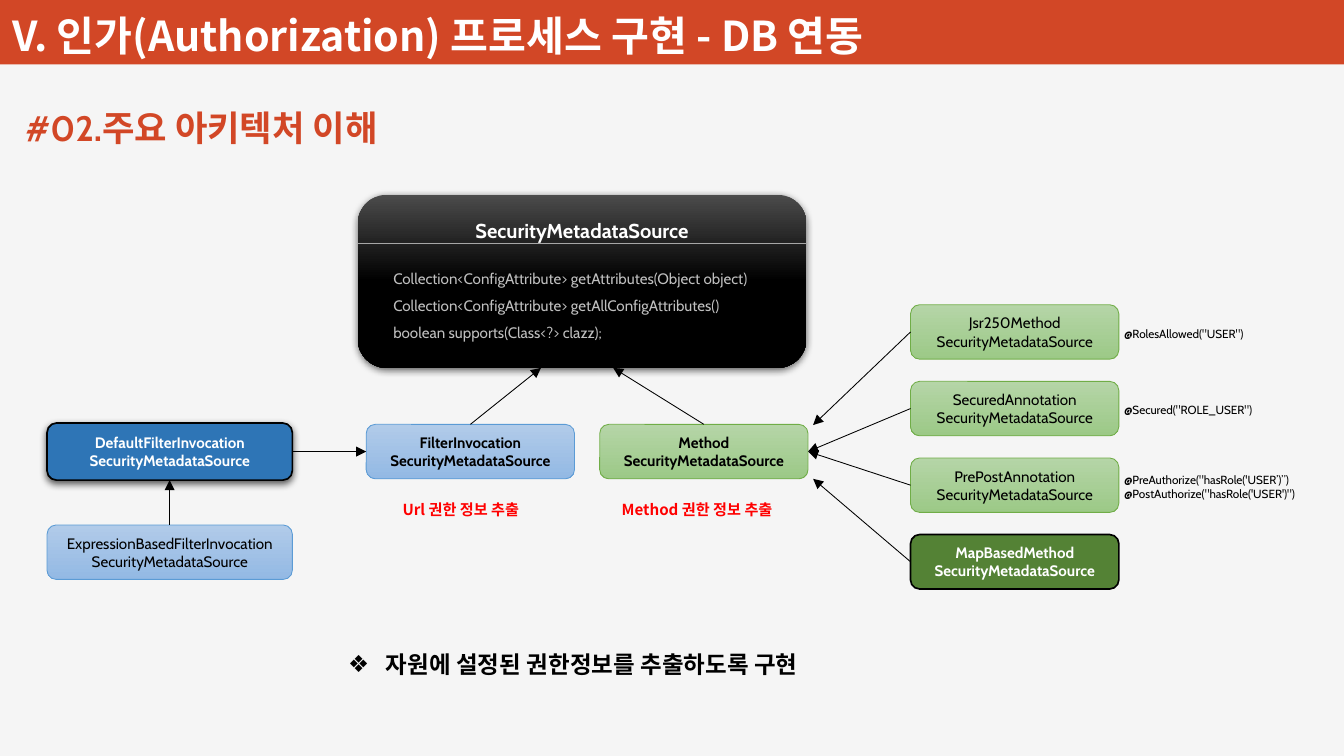
"""Builds the slide on the SecurityMetadataSource architecture."""
from dataclasses import dataclass
from lxml.etree import SubElement
from pptx import Presentation
from pptx.dml.color import RGBColor
from pptx.enum.shapes import MSO_CONNECTOR, MSO_SHAPE
from pptx.enum.text import MSO_ANCHOR, MSO_AUTO_SIZE, PP_ALIGN
from pptx.oxml.ns import qn
from pptx.util import Pt


@dataclass(frozen=True)
class Theme:
    latin: str = "Cabin"
    korean: str = "Noto Sans CJK KR"
    back: str = "F5F5F5"
    accent: str = "D24726"
    white: str = "FFFFFF"
    black: str = "000000"
    code: str = "BFBFBF"
    rule: str = "A6A6A6"
    alert: str = "FF0000"
    title_size: float = 24.5
    heading_size: float = 21
    list_size: float = 14
    root_size: float = 12
    box_size: float = 9
    note_size: float = 7


T = Theme()
TOP, LEFT, BOTTOM, RIGHT = range(4)
BOX_H = 32.4

STYLES = {
    "root": dict(fills=("4B4B4B", "000000"), mid=0.5, shadow=True),
    "blue": dict(fills=("B1CBE9", "93B9E4"), line="5B9BD5"),
    "green": dict(fills=("B5D5A7", "9CC987"), line="70AD47"),
    "navy": dict(fills=("2E75B6",), line=T.black, width=1, shadow=True),
    "forest": dict(fills=("548235",), line=T.black, width=1),
}

TITLE = "V. 인가(Authorization) 프로세스 구현 - DB 연동"
HEADING = "#02.주요 아키텍처 이해"
SUMMARY = "자원에 설정된 권한정보를 추출하도록 구현"
SOURCE = "SecurityMetadataSource"
ROOT = (213, 116, 267, 103)
METHODS = [
    "Collection<ConfigAttribute> getAttributes(Object object)",
    "Collection<ConfigAttribute> getAllConfigAttributes()",
    "boolean supports(Class<?> clazz);",
]
BOXES = [
    ("FilterInvocation", (218, 252.6, 124, BOX_H), "blue", T.black, True),
    ("Method", (357, 252.6, 124, BOX_H), "green", T.black, True),
    ("DefaultFilterInvocation", (28, 251.8, 146, 34), "navy", T.white, True),
    ("ExpressionBasedFilterInvocation", (28, 312.5, 146, BOX_H), "blue", T.black, False),
]
METHOD_X, METHOD_Y, METHOD_W, METHOD_STEP = 542, 181.4, 124, 45.6
METHOD_BOXES = [
    ("Jsr250Method", "green", T.black, False, ['@RolesAllowed("USER")']),
    ("SecuredAnnotation", "green", T.black, False, ['@Secured("ROLE_USER")']),
    ("PrePostAnnotation", "green", T.black, False,
     ["@PreAuthorize(\"hasRole('USER’)”)", "@PostAuthorize(\"hasRole('USER')\")"]),
    ("MapBasedMethod", "forest", T.white, True, []),
]
LABELS = [
    ("Url 권한 정보 추출", (232.5, 294.5, 95, 18)),
    ("Method 권한 정보 추출", (363, 294.5, 113, 18)),
]
ARROWS = [
    ("DefaultFilterInvocation", RIGHT, ("FilterInvocation", LEFT)),
    ("ExpressionBasedFilterInvocation", TOP, ("DefaultFilterInvocation", BOTTOM)),
    ("FilterInvocation", TOP, (322, 219)),
    ("Method", TOP, (365, 219)),
    ("Jsr250Method", LEFT, (484, 253)),
    ("SecuredAnnotation", LEFT, ("Method", RIGHT)),
    ("PrePostAnnotation", LEFT, ("Method", RIGHT)),
    ("MapBasedMethod", LEFT, (484, 285)),
]


def rgb(value):
    return RGBColor.from_string(value)


def pts(values):
    return [Pt(v) for v in values]


def write(sp, lines, size=T.box_size, color=T.black, bold=False, font=T.latin,
          align=PP_ALIGN.LEFT, spacing=1.0, anchor=MSO_ANCHOR.MIDDLE, inset=(7.2, 3.6)):
    tf = sp.text_frame
    tf.word_wrap = True
    tf.auto_size = MSO_AUTO_SIZE.NONE
    tf.vertical_anchor = anchor
    tf.margin_left = tf.margin_right = Pt(inset[0])
    tf.margin_top = tf.margin_bottom = Pt(inset[1])
    for i, line in enumerate(lines):
        p = tf.add_paragraph() if i else tf.paragraphs[0]
        p.alignment, p.line_spacing, p.space_before = align, spacing, Pt(0)
        r = p.add_run()
        r.text = line
        r.font.size, r.font.bold, r.font.name = Pt(size), bold, font
        r.font.color.rgb = rgb(color)
        SubElement(r.font._element, qn("a:ea"), typeface=T.korean)


def add_text(s, at, lines, **fmt):
    write(s.shapes.add_textbox(*pts(at)), lines, **fmt)


def add_shadow(sp):
    effects = sp._element.spPr.find(qn("a:effectLst"))
    shadow = SubElement(effects, qn("a:outerShdw"), blurRad=str(Pt(4.5)),
                        dist=str(Pt(1.5)), dir="5400000", algn="ctr", rotWithShape="0")
    color = SubElement(shadow, qn("a:srgbClr"), val=T.black)
    SubElement(color, qn("a:alpha"), val="63000")


def add_box(s, at, fills, line=None, width=0.5, mid=1.0, shadow=False):
    sp = s.shapes.add_shape(MSO_SHAPE.ROUNDED_RECTANGLE, *pts(at))
    sp.shadow.inherit = False
    if len(fills) == 1:
        sp.fill.solid()
        sp.fill.fore_color.rgb = rgb(fills[0])
    else:
        sp.fill.gradient()
        sp.fill.gradient_angle = 270
        for stop, color, position in zip(sp.fill.gradient_stops, fills, (0.0, mid)):
            stop.color.rgb, stop.position = rgb(color), position
    if line:
        sp.line.color.rgb, sp.line.width = rgb(line), Pt(width)
    else:
        sp.line.fill.background()
    if shadow:
        add_shadow(sp)
    return sp


def add_line(s, start, end, color=T.black, arrow=False):
    c = s.shapes.add_connector(MSO_CONNECTOR.STRAIGHT, *pts(start + end))
    c.line.color.rgb, c.line.width = rgb(color), Pt(0.5)
    if arrow:
        SubElement(c.line._get_or_add_ln(), qn("a:tailEnd"), type="triangle")
    SubElement(c._element.spPr, qn("a:effectLst"))
    return c


def place(sp, at):
    sp.left, sp.top, sp.width, sp.height = pts(at)


def add_title_and_list(s):
    title, body = s.placeholders
    place(title, (0, 0, 800, 38.4))
    title.fill.solid()
    title.fill.fore_color.rgb = rgb(T.accent)
    write(title, [TITLE], size=T.title_size, color=T.white, bold=True, font=T.korean,
          anchor=MSO_ANCHOR.BOTTOM, inset=(7.2, 0))
    title.text_frame.margin_bottom = Pt(2.8)
    place(body, (200, 383, 312, 24.5))
    write(body, [SUMMARY], size=T.list_size, bold=True, font=T.korean)
    pPr = body.text_frame.paragraphs[0]._p.get_or_add_pPr()
    pPr.set("marL", str(Pt(22.5)))
    pPr.set("indent", str(Pt(-22.5)))
    SubElement(pPr, qn("a:buChar"), char="❖")


def add_root(s):
    x, y, w, _ = ROOT
    write(add_box(s, ROOT, **STYLES["root"]), [SOURCE], size=T.root_size, color=T.white,
          bold=True, align=PP_ALIGN.CENTER, anchor=MSO_ANCHOR.TOP, inset=(7.2, 9))
    add_line(s, (x, y + 28.8), (x + w, y + 28.8), color=T.rule)
    add_text(s, (227, 152, 240, 54), METHODS, color=T.code, spacing=1.5)


def add_diagram(s):
    boxes, found = list(BOXES), {}
    for i, (name, style, color, bold, notes) in enumerate(METHOD_BOXES):
        y = METHOD_Y + i * METHOD_STEP
        boxes.append((name, (METHOD_X, y, METHOD_W, BOX_H), style, color, bold))
        if notes:
            add_text(s, (662, y + 1, 124, BOX_H), notes, size=T.note_size)
    for name, at, style, color, bold in boxes:
        found[name] = add_box(s, at, **STYLES[style])
        write(found[name], [name, SOURCE], color=color, bold=bold, align=PP_ALIGN.CENTER)
    for name, site, end in ARROWS:
        joined = end[0] in found
        c = add_line(s, (0, 0), (0, 0) if joined else end, arrow=True)
        c.begin_connect(found[name], site)
        if joined:
            c.end_connect(found[end[0]], end[1])


def main():
    prs = Presentation()
    prs.slide_width, prs.slide_height = Pt(800), Pt(450)
    s = prs.slides.add_slide(prs.slide_layouts[1])
    s.background.fill.solid()
    s.background.fill.fore_color.rgb = rgb(T.back)
    add_title_and_list(s)
    add_text(s, (8, 60, 239, 32), [HEADING], size=T.heading_size, color=T.accent, bold=True)
    add_root(s)
    add_diagram(s)
    for label, at in LABELS:
        add_text(s, at, [label], color=T.alert, bold=True, font=T.korean)
    prs.save("out.pptx")


if __name__ == "__main__":
    main()
